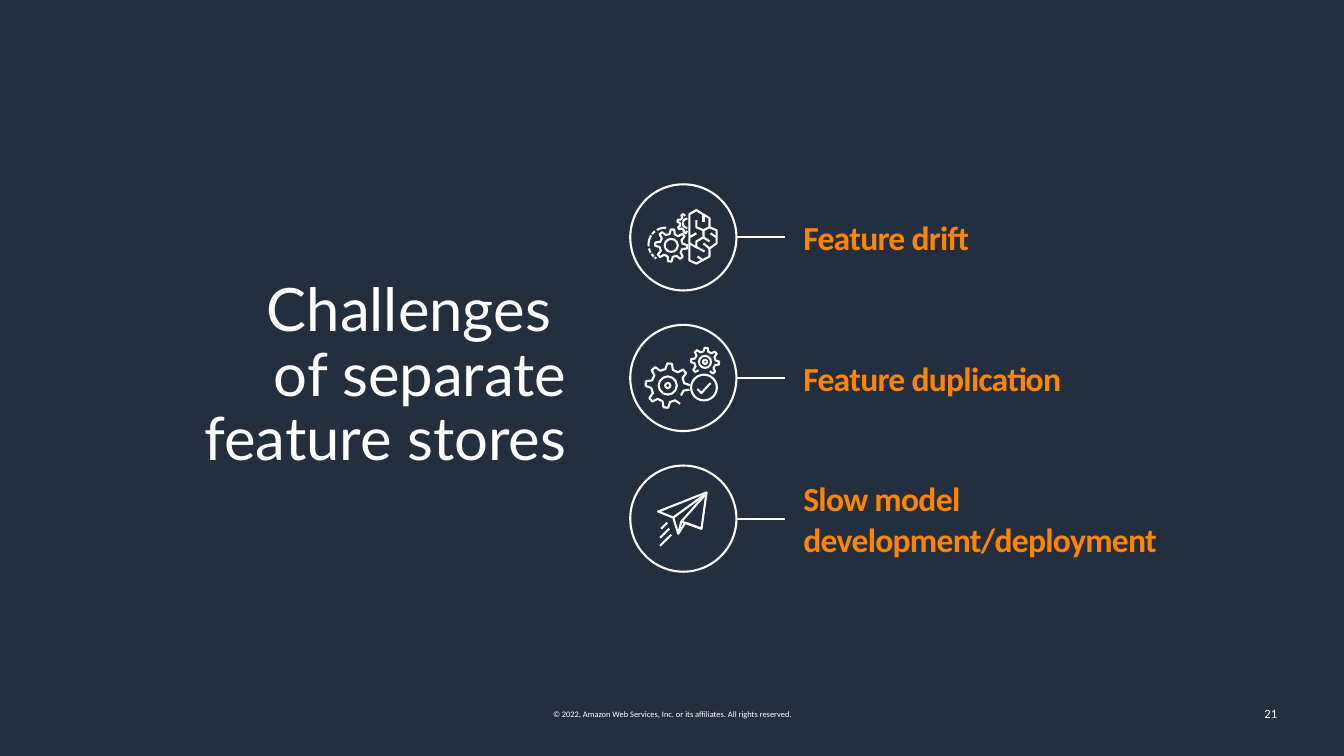
from math import cos, radians, sin

from pptx import Presentation
from pptx.dml.color import RGBColor
from pptx.enum.shapes import MSO_CONNECTOR, MSO_SHAPE
from pptx.enum.text import MSO_ANCHOR, MSO_AUTO_SIZE, PP_ALIGN
from pptx.oxml.ns import qn
from pptx.util import Inches, Pt

COLUMNS, ROWS = 160, 90
ICON_UNIT = 0.12  # share of a grid cell
WHITE, ORANGE, NAVY = "FFFFFF", "FF8500", "232F3E"


def color(value):
    return RGBColor.from_string(value)


def around(center, radius, degrees):
    angle = radians(degrees)
    return center[0] + radius * cos(angle), center[1] + radius * sin(angle)


class SlideBuilder:
    """Draws on one slide; lengths are grid columns and rows."""

    def __init__(self, presentation):
        self.slide = presentation.slides.add_slide(presentation.slide_layouts[6])
        self.shapes = self.slide.shapes
        self.column = presentation.slide_width / COLUMNS
        self.row = presentation.slide_height / ROWS
        self.icon_center = (0, 0)
        fill = self.slide.background.fill
        fill.solid()
        fill.fore_color.rgb = color(NAVY)

    def at(self, x, y):
        return round(x * self.column), round(y * self.row)

    def text(self, left, top, width, height, lines, size, font="Calibri",
             ink=WHITE, align=PP_ALIGN.LEFT, anchor=MSO_ANCHOR.TOP, bold=False,
             spacing=None, line_spacing=None, wrap=True, grow=True, side_inset=0.1):
        box = self.shapes.add_textbox(*self.at(left, top), *self.at(width, height))
        frame = box.text_frame
        frame.word_wrap = wrap
        frame.auto_size = MSO_AUTO_SIZE.SHAPE_TO_FIT_TEXT if grow else MSO_AUTO_SIZE.NONE
        frame.vertical_anchor = anchor
        frame.margin_left = frame.margin_right = Inches(side_inset)
        paragraph = frame.paragraphs[0]
        paragraph.alignment = align
        paragraph.line_spacing = line_spacing
        for index, line in enumerate(lines):
            if index:
                paragraph.add_line_break()
            run = paragraph.add_run()
            run.text = line
            run.font.name, run.font.size, run.font.bold = font, Pt(size), bold
            run.font.color.rgb = color(ink)
            if spacing:
                run._r.get_or_add_rPr().set("spc", str(round(spacing * 100)))

    def outline(self, shape):
        shape.shadow.inherit = False
        shape.fill.background()
        shape.line.color.rgb = color(WHITE)
        shape.line.width = Pt(1.5)

    def line(self, start, end):
        connector = self.shapes.add_connector(
            MSO_CONNECTOR.STRAIGHT, *self.at(*start), *self.at(*end))
        connector.line.color.rgb = color(WHITE)
        connector.line.width = Pt(1.5)
        properties = connector._element.spPr
        properties.append(properties.makeelement(qn("a:effectLst"), {}))

    def circle(self, center, radius):
        x, y = center
        self.outline(self.shapes.add_shape(
            MSO_SHAPE.OVAL, *self.at(x - radius, y - radius),
            *self.at(2 * radius, 2 * radius)))

    # Icon parts: coordinates in icon units from the icon's center
    def icon_point(self, point):
        x, y = self.icon_center
        return x + point[0] * ICON_UNIT, y + point[1] * ICON_UNIT

    def ring(self, center, radius):
        self.circle(self.icon_point(center), radius * ICON_UNIT)

    def stroke(self, points, close=False):
        points = [self.icon_point(point) for point in points]
        if len(points) == 2:
            self.line(*points)
            return
        start, *others = [self.at(*point) for point in points]
        builder = self.shapes.build_freeform(*start)
        builder.add_line_segments(others, close=close)
        self.outline(builder.convert_to_shape())

    def arc(self, center, radius, first, last):
        steps = max(2, (last - first) // 6)
        self.stroke([around(center, radius, first + (last - first) * step / steps)
                     for step in range(steps + 1)])

    def gear(self, center, tip, root, first=0, last=32, phase=5):
        """Eight teeth of four corners each; first and last pick the corners."""
        corners = ((root, -13), (tip, -6), (tip, 6), (root, 13))
        points = []
        for index in range(first, last):
            radius, offset = corners[index % 4]
            points.append(around(center, radius, phase + 45 * (index // 4) + offset))
        self.stroke(points, close=last - first == 32)


def draw_drift(builder):
    # Half brain
    for points in (
        [(13, -4), (6, 0), (6, 23), (13, 26), (26, 19), (26, 11), (33, 6), (33, -7),
         (26, -10), (26, -19), (13, -27), (6, -23), (6, 0)],
        [(20, 0), (20, -7), (13, -10), (13, -17)],
        [(13, 10), (13, 4), (20, 0)],
        [(20, -7), (26, -10)], [(20, -15), (20, -23)], [(33, 0), (27, -4)],
        [(26, 11), (20, 6)], [(20, 23), (14, 19)], [(21, 14), (6, 6)],
        [(26, 4), (20, 0)],
    ):
        builder.stroke(points)
    # Gears and dashed orbit
    builder.gear((-12, 8), 16, 11.5)
    builder.ring((-12, 8), 6.5)
    builder.gear((4, -14), 10, 7.5, 8, 24, phase=15)
    builder.arc((4, -14), 4.5, 90, 270)
    for first, last in ((240, 273), (218, 232), (173, 213), (150, 166),
                        (133, 145), (122, 130)):
        builder.arc((-18, 7), 16.5, first, last)


def draw_duplication(builder):
    large, small = (-15.5, 7.5), (21.5, -16)
    builder.ring((20.5, 9.5), 12.8)
    builder.stroke([(14, 11), (18, 15), (27, 5)])
    builder.gear(large, 22, 16.5, 6, 34)
    builder.gear(large, 22, 16.5, 2, 5)
    builder.gear(small, 14, 10.5, 12, 40)
    for center, radius in ((large, 9), (large, 2.5), (small, 6), (small, 2)):
        builder.ring(center, radius)


def draw_paper_plane(builder):
    builder.stroke([(-25, -7), (-10, -1), (-5, 15), (2, 4), (18, 10), (23, -26)], close=True)
    for points in ([(-5, 15), (-2, 3), (23, -25), (-10, -1)],
                   [(-2, 3), (18, 10)], [(-16, 4), (-22, 10)],
                   [(-12, 16), (-23, 27)], [(-14, 10), (-23, 19)]):
        builder.stroke(points)


def main():
    presentation = Presentation()
    presentation.slide_width, presentation.slide_height = Inches(13.33), Inches(7.5)
    builder = SlideBuilder(presentation)

    # Title
    builder.text(14.64, 32.76, 52.8, 24.5, ["Challenges ", "of separate feature stores"],
                 42.7, font="Lato", align=PP_ALIGN.RIGHT, line_spacing=0.9, side_inset=0)

    # Challenges: circled icon, connector, label
    challenges = (("Feature drift", 6, draw_drift),
                  ("Feature duplication", 6, draw_duplication),
                  ("Slow model development/deployment", 10.9, draw_paper_plane))
    circle_x, radius, pitch = 81.35, 6.32, 16.74
    for index, (label, height, draw_icon) in enumerate(challenges):
        middle = ROWS / 2 + (index - 1) * pitch
        builder.icon_center = (circle_x, middle)
        builder.circle(builder.icon_center, radius)
        draw_icon(builder)
        builder.line((circle_x + radius, middle), (93.4, middle))
        builder.text(94.45, middle - height / 2, 50.9, height, [label], 24, ink=ORANGE,
                     anchor=MSO_ANCHOR.MIDDLE, bold=True, spacing=-0.5)

    # Footer
    builder.text(63, 83.88, 34.08, 2.4,
                 ["© 2022, Amazon Web Services, Inc. or its affiliates. All rights reserved."],
                 6, align=PP_ALIGN.CENTER, wrap=False)
    builder.text(117.24, 82.56, 36, 4.8, ["21"], 9, align=PP_ALIGN.RIGHT,
                 anchor=MSO_ANCHOR.MIDDLE, grow=False)

    presentation.save("out.pptx")


if __name__ == "__main__":
    main()
